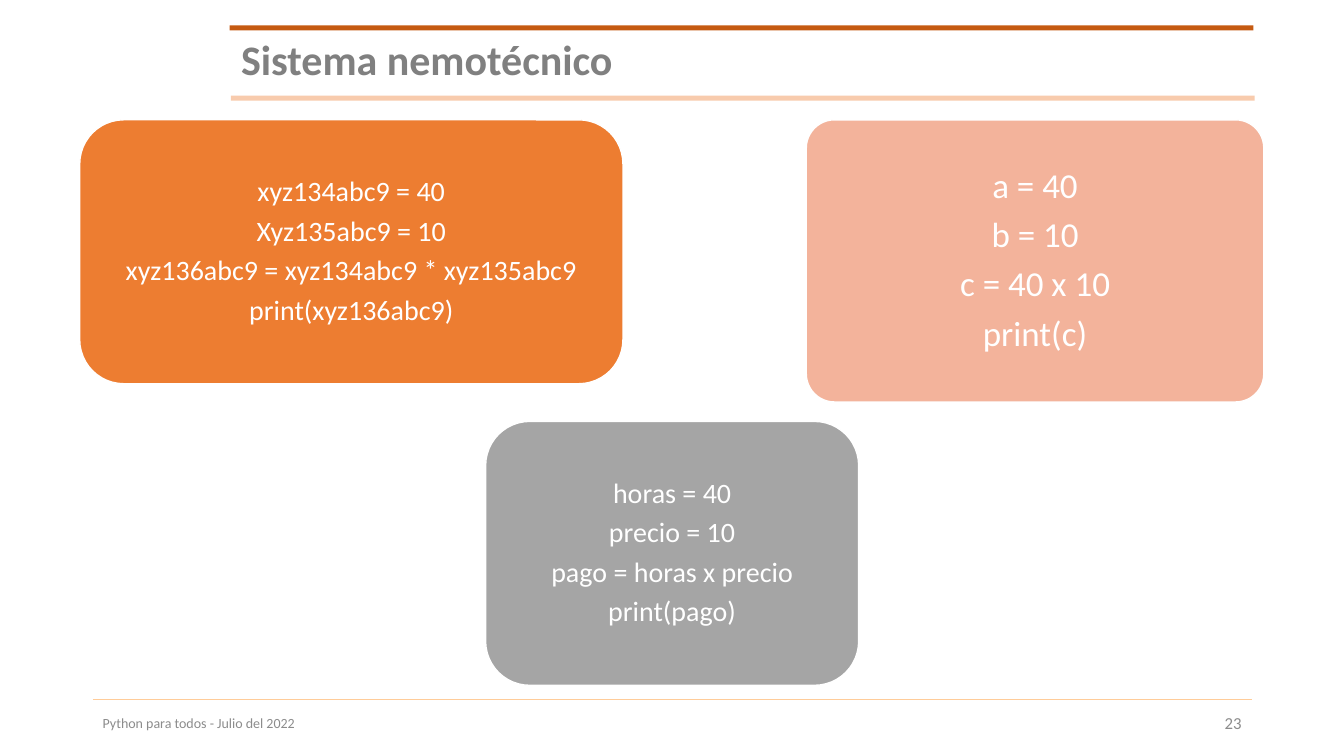
from lxml import etree
from pptx import Presentation
from pptx.dml.color import RGBColor
from pptx.enum.shapes import MSO_CONNECTOR, MSO_SHAPE
from pptx.enum.text import MSO_ANCHOR, MSO_AUTO_SIZE, PP_ALIGN
from pptx.oxml.ns import qn
from pptx.util import Cm, Pt

RECTANGLE, ROUNDED = MSO_SHAPE.RECTANGLE, MSO_SHAPE.ROUNDED_RECTANGLE
STRAIGHT = MSO_CONNECTOR.STRAIGHT
MIDDLE = MSO_ANCHOR.MIDDLE
NO_AUTOFIT = MSO_AUTO_SIZE.NONE
LEFT, CENTER, RIGHT = PP_ALIGN.LEFT, PP_ALIGN.CENTER, PP_ALIGN.RIGHT

WHITE = RGBColor(0xFF, 0xFF, 0xFF)
ORANGE = RGBColor(0xED, 0x7D, 0x31)
GRAY = RGBColor(0xA5, 0xA5, 0xA5)
SALMON = RGBColor(0xF3, 0xB3, 0x9B)
DARK_ORANGE = RGBColor(0xC5, 0x5A, 0x11)
PALE_ORANGE = RGBColor(0xF8, 0xCB, 0xAD)
FOOTER_LINE = RGBColor(0xFF, 0xCC, 0x99)
TITLE_GRAY = RGBColor(0x80, 0x80, 0x80)
FOOTER_GRAY = RGBColor(0x8C, 0x8C, 0x8C)
FONT = "Calibri"

CARDS = [
    ((2.01, 3.02, 13.69, 6.65), ORANGE, 0.167, 20,
     ["xyz134abc9 = 40", "Xyz135abc9 = 10",
      "xyz136abc9 = xyz134abc9 * xyz135abc9", "print(xyz136abc9)"]),
    ((12.24, 10.62, 9.4, 6.65), GRAY, 0.167, 20,
     ["horas = 40", "precio = 10", "pago = horas x precio", "print(pago)"]),
    ((20.32, 3.02, 11.53, 7.11), SALMON, 0.1, 25,
     ["a = 40", "b = 10", "c = 40 x 10", "print(c)"]),
]


def style_paragraph(paragraph, size, color, alignment):
    """Set the font and alignment of a paragraph."""
    paragraph.alignment = alignment
    paragraph.font.name = FONT
    paragraph.font.size = Pt(size)
    paragraph.font.color.rgb = color


def add_filled_shape(slide, kind, box, color):
    """Add a flat preset shape without outline."""
    shape = slide.shapes.add_shape(kind, *map(Cm, box))
    shape.shadow.inherit = False
    shape.fill.solid()
    shape.fill.fore_color.rgb = color
    shape.line.fill.background()
    return shape


def add_header(slide, box, text):
    """Place the title between a dark and a pale bar."""
    left, top, width, height = box
    bar_height = 0.13
    add_filled_shape(slide, RECTANGLE, (left, top, width, bar_height), DARK_ORANGE)
    add_filled_shape(slide, RECTANGLE,
                     (left + 0.03, top + height - bar_height, width, bar_height),
                     PALE_ORANGE)
    title = slide.shapes.title
    title.left, title.top = Cm(left + 0.03), Cm(top + 0.2)
    title.width, title.height = Cm(width - 0.1), Cm(height - 0.46)
    title.fill.solid()
    title.fill.fore_color.rgb = WHITE
    frame = title.text_frame
    frame.text = text
    frame.auto_size = NO_AUTOFIT
    frame.vertical_anchor = MIDDLE
    paragraph = frame.paragraphs[0]
    style_paragraph(paragraph, 30, TITLE_GRAY, LEFT)
    paragraph.font.bold = True
    paragraph.line_spacing = 0.9


def add_card(slide, box, color, corner, size, lines):
    """Place a rounded card with centred lines of code."""
    card = add_filled_shape(slide, ROUNDED, box, color)
    card.adjustments[0] = corner
    card.line.color.rgb = WHITE
    card.line.width = Pt(1)
    frame = card.text_frame
    frame.word_wrap = True
    frame.vertical_anchor = MIDDLE
    frame.text = "\n".join(lines)
    for paragraph in frame.paragraphs:
        style_paragraph(paragraph, size, WHITE, CENTER)
        paragraph.line_spacing = 0.9
        paragraph.space_after = Pt(size * 0.33)


def add_footer(slide, box, text, number):
    """Place the footer rule, its text and the slide number."""
    left, top, width, height = box
    rule = slide.shapes.add_connector(STRAIGHT, Cm(left), Cm(top),
                                      Cm(left + width), Cm(top))
    rule.line.color.rgb = FOOTER_LINE
    rule.line.width = Pt(0.5)
    etree.SubElement(rule.element.spPr, qn("a:effectLst"))
    number_width = 7.62
    text_width = width - number_width
    parts = [(left, text_width, text, 10, LEFT),
             (left + text_width, number_width, number, 12, RIGHT)]
    for part_left, part_width, content, size, alignment in parts:
        text_box = slide.shapes.add_textbox(Cm(part_left), Cm(top + 0.1),
                                            Cm(part_width), Cm(height - 0.1))
        frame = text_box.text_frame
        frame.word_wrap = True
        frame.vertical_anchor = MIDDLE
        frame.text = content
        style_paragraph(frame.paragraphs[0], size, FOOTER_GRAY, alignment)


def main():
    """Build and save the slide."""
    presentation = Presentation()
    presentation.slide_width, presentation.slide_height = Cm(33.87), Cm(19.05)
    slide = presentation.slides.add_slide(presentation.slide_layouts[5])
    add_header(slide, (5.79, 0.64, 25.8, 1.9), "Sistema nemotécnico")
    for card in CARDS:
        add_card(slide, *card)
    add_footer(slide, (2.34, 17.63, 29.2, 1.09),
               "Python para todos - Julio del 2022", "23")
    presentation.save("out.pptx")


main()
